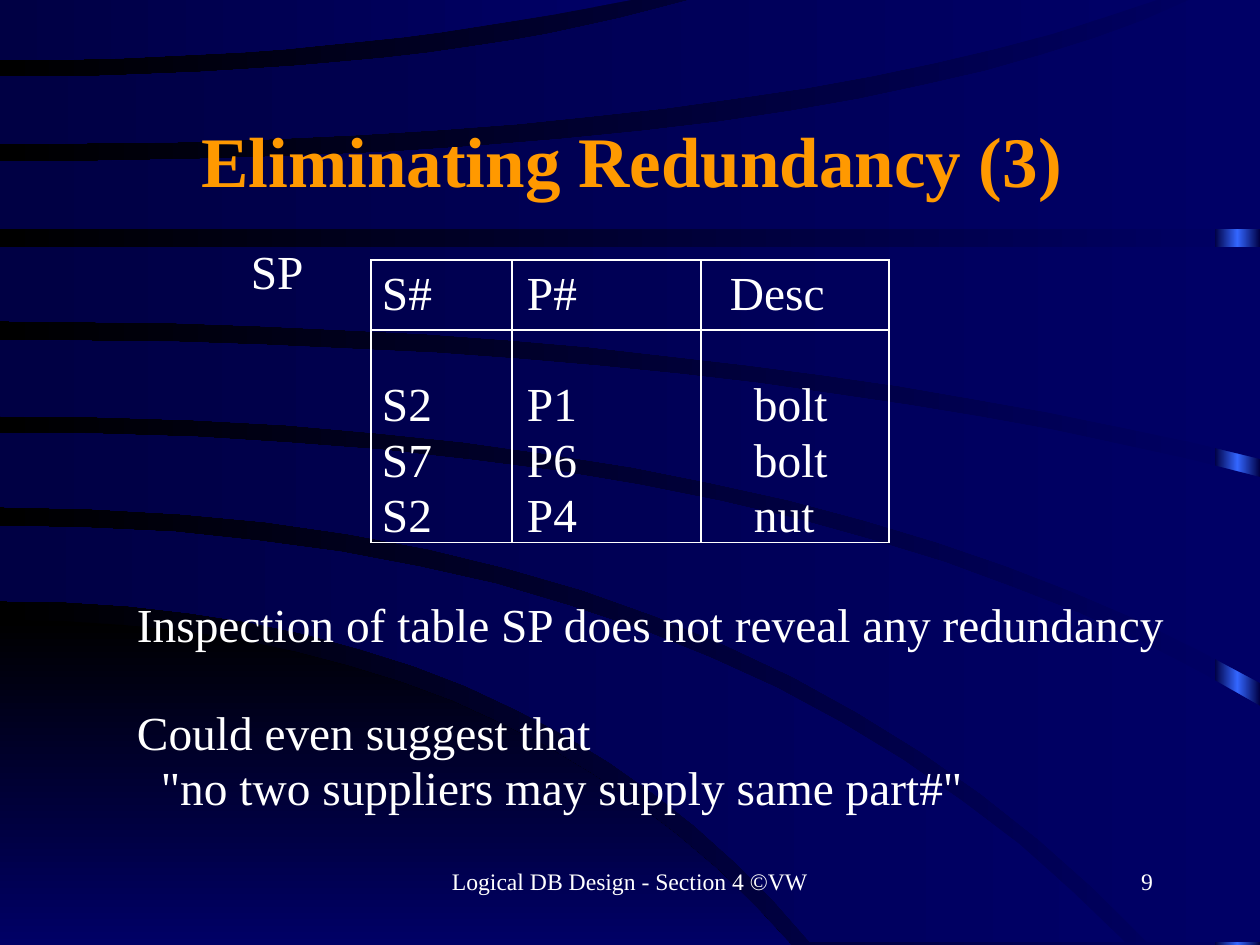
from copy import deepcopy

from lxml.etree import SubElement as Sub
from pptx import Presentation
from pptx.dml.color import RGBColor
from pptx.enum.shapes import MSO_SHAPE as Shape
from pptx.enum.text import MSO_ANCHOR as Anchor, PP_ALIGN as Align
from pptx.oxml.ns import qn
from pptx.util import Pt

PX = 6435  # EMU in one px
WIDE, HIGH = 1260, 945
STEPS = 16  # straight pieces in one curved edge
FONT = "Times New Roman"
WHITE, GOLD = "FFFFFF", "FF9900"
NAVY, DUSK, BLACK, GLOW = "000066", "000044", "000000", "3366FF"

# Edge of a band: start height, bend (x of the control point), end x, end y
ARC = (620, 508, 791, HIGH)

# Bands from bottom to top: upper edge, lower edge, corners between them
BANDS = [
    ((526, 721, 1125, 942), (601, 526, 810, 942), []),
    ((433, 810, WIDE, 706), (507, 736, 1147, 942), [(WIDE, 942)]),
    ((340, 730, WIDE, 477), (416, 792, WIDE, 683), []),
    ((247, 630, WIDE, 247), (321, 704, WIDE, 459), []),
    ((162, 842, 1189, 0), (229, 630, WIDE, 229), [(WIDE, 0)]),
    ((77, 425, 690, 0), (144, 758, 1157, 0), []),
    ((0, 315, 631, 0), (60, 335, 631, 0), []),
]

# Table of suppliers and parts
ROWS = [("S#", "P#", "Desc"), ("S2", "P1", "bolt"),
        ("S7", "P6", "bolt"), ("S2", "P4", "nut")]
COLS = [141, 189, 188]
TALL = [70, 102, 55, 55]
HEAD_PADS, BODY_PADS = [11, 15, 29], [11, 15, 53]

# Sentences: text, space before in points, indent in px
NOTES = [("Inspection of table SP does not reveal any redundancy", 0, 0),
         ("Could even suggest that", 27, 0),
         ('"no two suppliers may supply same part#"', 0, 24)]


def color(code):
    return RGBColor.from_string(code)


def box(*sizes):
    return [size * PX for size in sizes]


def curve(start, bend, end, last):
    """Points of a quadratic curve that leaves the left side level."""
    points = []
    for i in range(STEPS + 1):
        t = i / STEPS
        x = 2 * t * (1 - t) * bend + t * t * end
        y = start + t * t * (last - start)
        points.append((round(x), round(y)))
    return points


def shade(fill, owner, codes, angle=180):
    """Fill with evenly spaced gradient stops."""
    fill.gradient()
    fill.gradient_angle = angle
    stops = owner.find(".//" + qn("a:gsLst"))
    for _ in codes[2:]:
        stops.append(deepcopy(stops[-1]))
    for i, (stop, code) in enumerate(zip(fill.gradient_stops, codes)):
        stop.color.rgb = color(code)
        stop.position = i / (len(codes) - 1)


def plain(shape, codes, angle=180):
    shape.shadow.inherit = False
    shape.line.fill.background()
    shade(shape.fill, shape._element, codes, angle)


def outline(shapes, points, codes, angle=180):
    form = shapes.build_freeform(*points[0], scale=PX)
    form.add_line_segments(points[1:], close=True)
    plain(form.convert_to_shape(), codes, angle)


def style(par, size=24, code=WHITE, bold=False, **form):
    for name, value in form.items():
        setattr(par, name, value)
    par.font.name, par.font.size = FONT, Pt(size)
    par.font.bold, par.font.color.rgb = bold, color(code)


def pad(frame, across, down):
    sides = {"margin_left": across, "margin_right": across,
             "margin_top": down, "margin_bottom": down}
    for name, value in sides.items():
        setattr(frame, name, value * PX)


def label(shapes, place, text, wrap=True, **form):
    frame = shapes.add_textbox(*box(*place)).text_frame
    frame.word_wrap = wrap
    pad(frame, 13, 6)
    frame.text = text
    style(frame.paragraphs[0], **form)


def notes(shapes):
    frame = shapes.add_textbox(*box(127, 593, 1133, 229)).text_frame
    frame.word_wrap = True
    pad(frame, 10, 5)
    frame.text = "\n".join(text for text, _, _ in NOTES)
    for par, (_, gap, shift) in zip(frame.paragraphs, NOTES):
        if shift:
            par._p.get_or_add_pPr().set("marL", str(shift * PX))
        form = {"space_before": Pt(gap)} if gap else {}
        style(par, line_spacing=0.97, **form)


def edges(cell, shown):
    """Draw the shown sides of a cell and clear the others."""
    for side in "LRTB":
        line = Sub(cell._tc.get_or_add_tcPr(), qn("a:ln" + side), w="12700")
        if side in shown:
            ink = Sub(line, qn("a:solidFill"))
            Sub(ink, qn("a:srgbClr"), val=WHITE)
        else:
            Sub(line, qn("a:noFill"))


def grid(shapes):
    place = box(371, 260, sum(COLS), sum(TALL))
    table = shapes.add_table(len(ROWS), len(COLS), *place).table
    table.first_row = table.horz_banding = False
    for col, width in zip(table.columns, COLS):
        col.width = width * PX
    for r, (row, high) in enumerate(zip(ROWS, TALL)):
        table.rows[r].height = high * PX
        shown = {0: "LRTB", 1: "LRT", len(ROWS) - 1: "LRB"}.get(r, "LR")
        pads = BODY_PADS if r else HEAD_PADS
        for c, text in enumerate(row):
            cell = table.cell(r, c)
            cell.text = text
            pad(cell, 0, 0)
            cell.margin_left = pads[c] * PX
            cell.vertical_anchor = Anchor.BOTTOM if r else Anchor.MIDDLE
            style(cell.text_frame.paragraphs[0], line_spacing=0.97)
            edges(cell, shown)
            cell.fill.background()


def heading(shapes, text):
    title = shapes.title
    title.left, title.top, title.width, title.height = box(122, 109, 1020, 108)
    frame = title.text_frame
    frame.text = text
    frame.vertical_anchor = Anchor.MIDDLE
    pad(frame, 13, 7)
    style(frame.paragraphs[0], 36, GOLD, True,
          alignment=Align.CENTER, line_spacing=0.97)
    shapes._spTree.append(title._element)  # bring in front of the bands


def main():
    deck = Presentation()
    deck.slide_width, deck.slide_height = box(WIDE, HIGH)
    slide = deck.slides.add_slide(deck.slide_layouts[5])
    shapes = slide.shapes

    # Backdrop
    shade(slide.background.fill, slide._element, [NAVY, BLACK])
    strip = shapes.add_shape(Shape.RECTANGLE, *box(1215, 0, 45, HIGH))
    plain(strip, [DUSK, GLOW, DUSK])
    outline(shapes, curve(*ARC) + [(0, HIGH)], [BLACK, NAVY], 270)
    for upper, lower, corners in BANDS:
        points = curve(*upper) + corners + curve(*lower)[::-1]
        outline(shapes, points, [NAVY, DUSK])

    # Content
    heading(shapes, "Eliminating Redundancy (3)")
    notes(shapes)
    grid(shapes)
    label(shapes, (238, 236, 81, 71), "SP", wrap=False)

    # Footer
    label(shapes, (430, 861, 400, 62), "Logical DB Design - Section 4 ©VW",
          size=12, alignment=Align.CENTER)
    label(shapes, (904, 861, 262, 62), "9", size=12, alignment=Align.RIGHT)
    deck.save("out.pptx")


if __name__ == "__main__":
    main()
